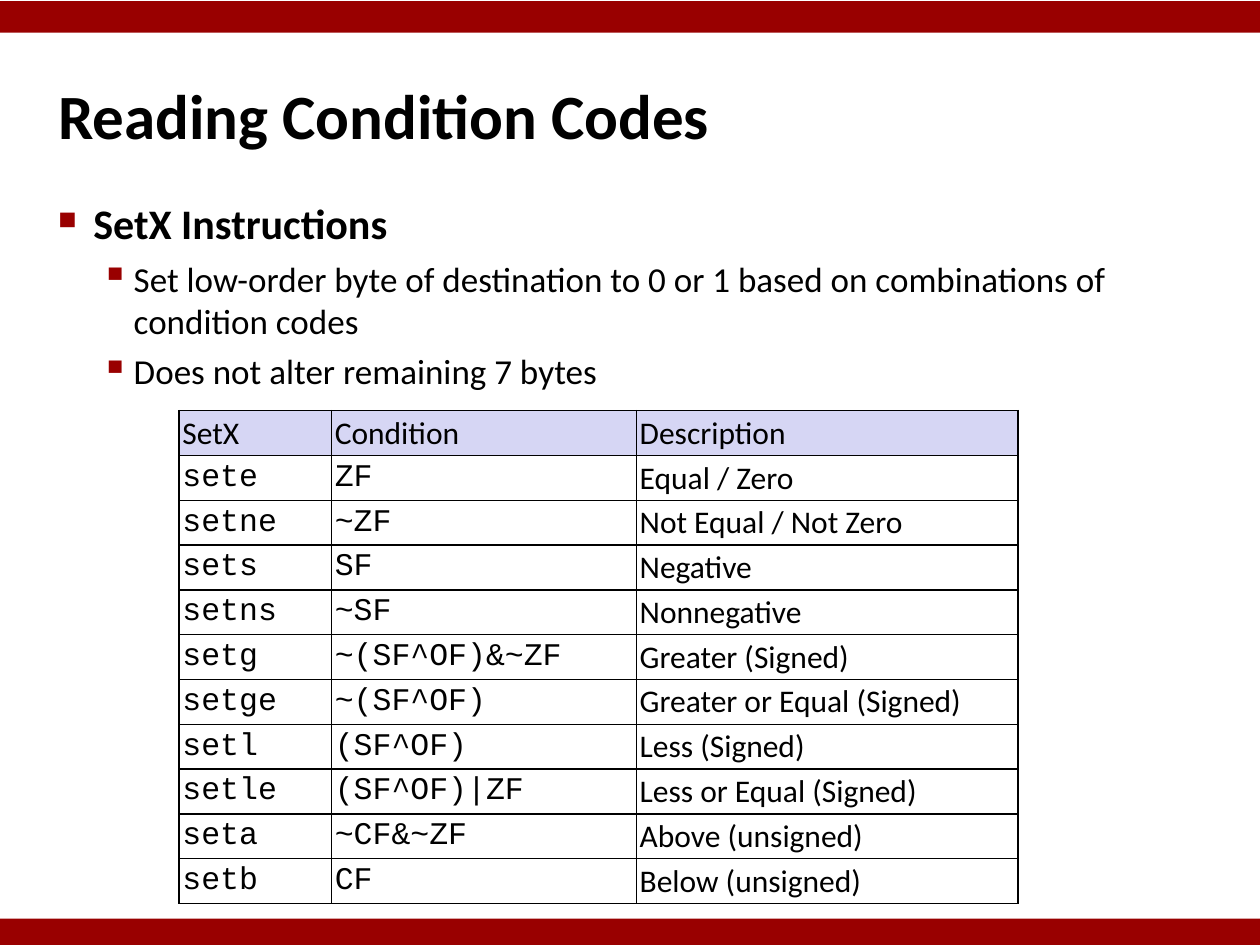
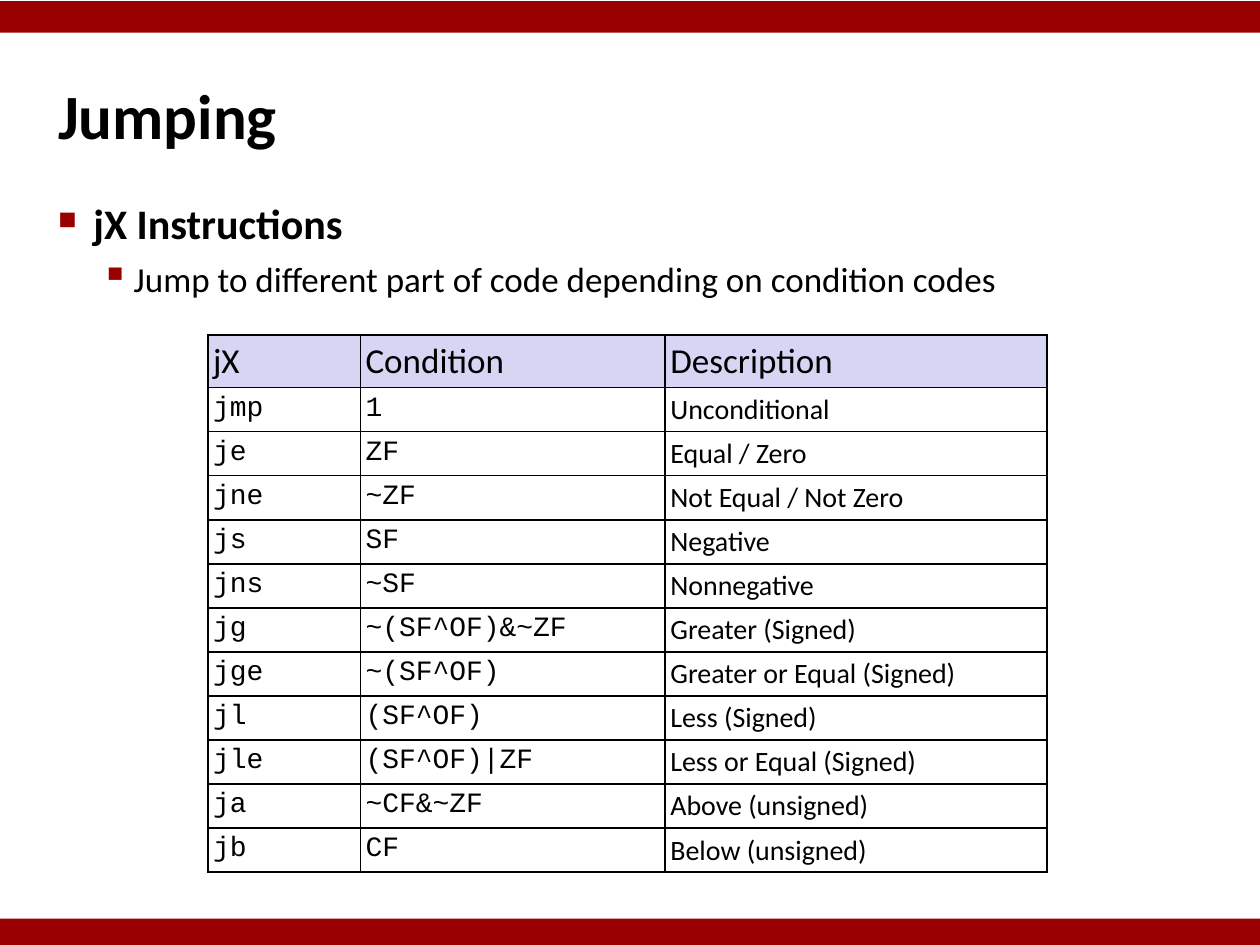
import dataclasses

import lxml.etree
import pptx
import pptx.dml.color
import pptx.enum.shapes
import pptx.enum.text
import pptx.oxml.ns
import pptx.util

Inches = pptx.util.Inches
Pt = pptx.util.Pt
Anchor = pptx.enum.text.MSO_ANCHOR


@dataclasses.dataclass(frozen=True)
class Theme:
    band: str = "990000"
    ink: str = "000000"
    header_fill: str = "D6D6F4"
    body_font: str = "Calibri"
    code_font: str = "Courier New"
    title_size: int = 36
    inset: int = 3
    border: int = 1


THEME = Theme()

# Condition codes shared by the set and jump instructions: suffix, test, meaning
CONDITIONS = [
    ("e", "ZF", "Equal / Zero"),
    ("ne", "~ZF", "Not Equal / Not Zero"),
    ("s", "SF", "Negative"),
    ("ns", "~SF", "Nonnegative"),
    ("g", "~(SF^OF)&~ZF", "Greater (Signed)"),
    ("ge", "~(SF^OF)", "Greater or Equal (Signed)"),
    ("l", "(SF^OF)", "Less (Signed)"),
    ("le", "(SF^OF)|ZF", "Less or Equal (Signed)"),
    ("a", "~CF&~ZF", "Above (unsigned)"),
    ("b", "CF", "Below (unsigned)"),
]


def instruction_rows(prefix):
    return [(prefix + suffix, test, meaning) for suffix, test, meaning in CONDITIONS]


SLIDES = [
    {
        "title": "Reading Condition Codes",
        "bullets": [
            (0, "SetX Instructions"),
            (1, "Set low-order byte of destination to 0 or 1 based on "
                "combinations of condition codes"),
            (1, "Does not alter remaining 7 bytes"),
        ],
        "body_height": 5.94,
        "table": {
            "header": ("SetX", "Condition", "Description"),
            "rows": instruction_rows("set"),
            "left": 1.42, "top": 3.26, "header_height": 0.34,
            "header_size": 18, "size": 18, "inset": 2, "anchor": Anchor.MIDDLE,
        },
    },
    {
        "title": "Jumping",
        "bullets": [
            (0, "jX Instructions"),
            (1, "Jump to different part of code depending on condition codes"),
        ],
        "body_height": 0.94,
        "table": {
            "header": ("jX", "Condition", "Description"),
            "rows": [("jmp", "1", "Unconditional")] + instruction_rows("j"),
            "left": 1.65, "top": 2.66, "header_height": 0.41,
            "header_size": 20, "size": 16, "inset": 3, "anchor": Anchor.TOP,
        },
    },
]

SLIDE_WIDTH, SLIDE_HEIGHT = 10, 7.5
BAND_HEIGHT = 0.25
BAND_TOPS = (0.01, 7.29)
TEXT_LEFT, TEXT_WIDTH = 0.42, 9.17
TITLE_TOP, TITLE_HEIGHT = 0.28, 1.25
COLUMN_WIDTHS = (1.21, 2.42, 3.03)
ROW_HEIGHT = 0.34
BULLET_LEVELS = [
    {"size": 24, "bold": True, "bullet": "■", "bullet_percent": 60,
     "margin": 0.28, "hang": 0.28, "space_before": 6},
    {"size": 20, "bullet": "▪", "bullet_percent": 110,
     "margin": 0.6, "hang": 0.26, "space_before": 5},
]


def color(value):
    return pptx.dml.color.RGBColor.from_string(value)


def add_element(parent, tag, **attributes):
    element = lxml.etree.SubElement(parent, pptx.oxml.ns.qn(tag))
    for name, value in attributes.items():
        element.set(name, str(value))
    return element


def write_text(paragraph, text, size, font=THEME.body_font, bold=False, level=0,
               margin=0, hang=0, space_before=0, bullet=None, bullet_percent=100):
    properties = paragraph._p.get_or_add_pPr()
    properties.set("marL", str(Inches(margin)))
    properties.set("indent", str(-Inches(hang)))
    paragraph.level = level
    if space_before:
        paragraph.space_before = Pt(space_before)
    if bullet:
        bullet_color = add_element(properties, "a:buClr")
        add_element(bullet_color, "a:srgbClr", val=THEME.band)
        add_element(properties, "a:buSzPct", val=bullet_percent * 1000)
        add_element(properties, "a:buChar", char=bullet)
    run = paragraph.add_run()
    run.text = text
    run.font.name = font
    run.font.size = Pt(size)
    run.font.bold = bold
    run.font.color.rgb = color(THEME.ink)


def set_insets(holder, points):
    """Give a text frame or a table cell the same margin on all sides."""
    for side in ("left", "top", "right", "bottom"):
        setattr(holder, f"margin_{side}", Pt(points))


def add_text_frame(slide, top, height, anchor):
    box = slide.shapes.add_textbox(Inches(TEXT_LEFT), Inches(top),
                                   Inches(TEXT_WIDTH), Inches(height))
    frame = box.text_frame
    frame.word_wrap = True
    frame.vertical_anchor = anchor
    set_insets(frame, THEME.inset)
    return frame


def add_title(slide, title):
    frame = add_text_frame(slide, TITLE_TOP, TITLE_HEIGHT, Anchor.MIDDLE)
    write_text(frame.paragraphs[0], title, THEME.title_size, bold=True,
               margin=0.13, hang=0.13)


def add_bullets(slide, bullets, height):
    frame = add_text_frame(slide, TITLE_TOP + TITLE_HEIGHT, height, Anchor.TOP)
    for index, (level, text) in enumerate(bullets):
        paragraph = frame.add_paragraph() if index else frame.paragraphs[0]
        style = dict(BULLET_LEVELS[level])
        if index == 0:
            style["space_before"] = 0
        write_text(paragraph, text, level=level, **style)


def add_borders(cell):
    properties = cell._tc.get_or_add_tcPr()
    for side in ("a:lnL", "a:lnR", "a:lnT", "a:lnB"):
        line = add_element(properties, side, w=Pt(THEME.border))
        fill = add_element(line, "a:solidFill")
        add_element(fill, "a:srgbClr", val=THEME.ink)


def add_instruction_table(slide, content):
    rows = [content["header"]] + content["rows"]
    heights = [content["header_height"]] + [ROW_HEIGHT] * len(content["rows"])
    table = slide.shapes.add_table(
        len(rows), len(COLUMN_WIDTHS), Inches(content["left"]), Inches(content["top"]),
        Inches(sum(COLUMN_WIDTHS)), Inches(sum(heights))).table
    table.first_row = False
    table.horz_banding = False
    for column, width in zip(table.columns, COLUMN_WIDTHS):
        column.width = Inches(width)
    for row_index, (row, height) in enumerate(zip(rows, heights)):
        table.rows[row_index].height = Inches(height)
        is_header = row_index == 0
        for column_index, text in enumerate(row):
            cell = table.cell(row_index, column_index)
            cell.vertical_anchor = content["anchor"]
            set_insets(cell, content["inset"])
            add_borders(cell)
            if is_header:
                cell.fill.solid()
                cell.fill.fore_color.rgb = color(THEME.header_fill)
            else:
                cell.fill.background()
            is_code = not is_header and column_index < 2
            write_text(cell.text_frame.paragraphs[0], text,
                       content["header_size" if is_header else "size"],
                       font=THEME.code_font if is_code else THEME.body_font)


def add_bands(slide):
    for top in BAND_TOPS:
        band = slide.shapes.add_shape(
            pptx.enum.shapes.MSO_SHAPE.RECTANGLE, 0, Inches(top),
            Inches(SLIDE_WIDTH), Inches(BAND_HEIGHT))
        band.shadow.inherit = False
        band.fill.solid()
        band.fill.fore_color.rgb = color(THEME.band)
        band.line.fill.background()


def main():
    presentation = pptx.Presentation()
    presentation.slide_width = Inches(SLIDE_WIDTH)
    presentation.slide_height = Inches(SLIDE_HEIGHT)
    for content in SLIDES:
        slide = presentation.slides.add_slide(presentation.slide_layouts[6])
        add_title(slide, content["title"])
        add_bullets(slide, content["bullets"], content["body_height"])
        add_instruction_table(slide, content["table"])
        add_bands(slide)
    presentation.save("out.pptx")


if __name__ == "__main__":
    main()
